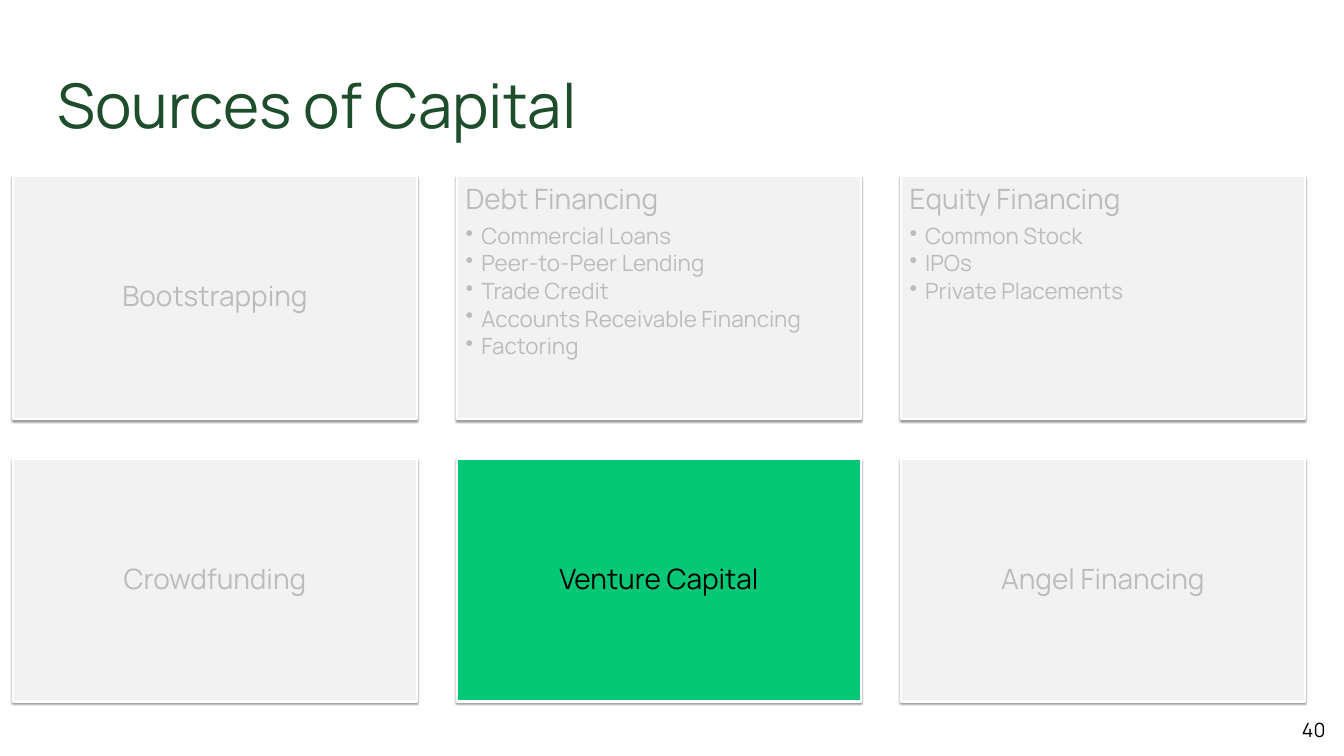
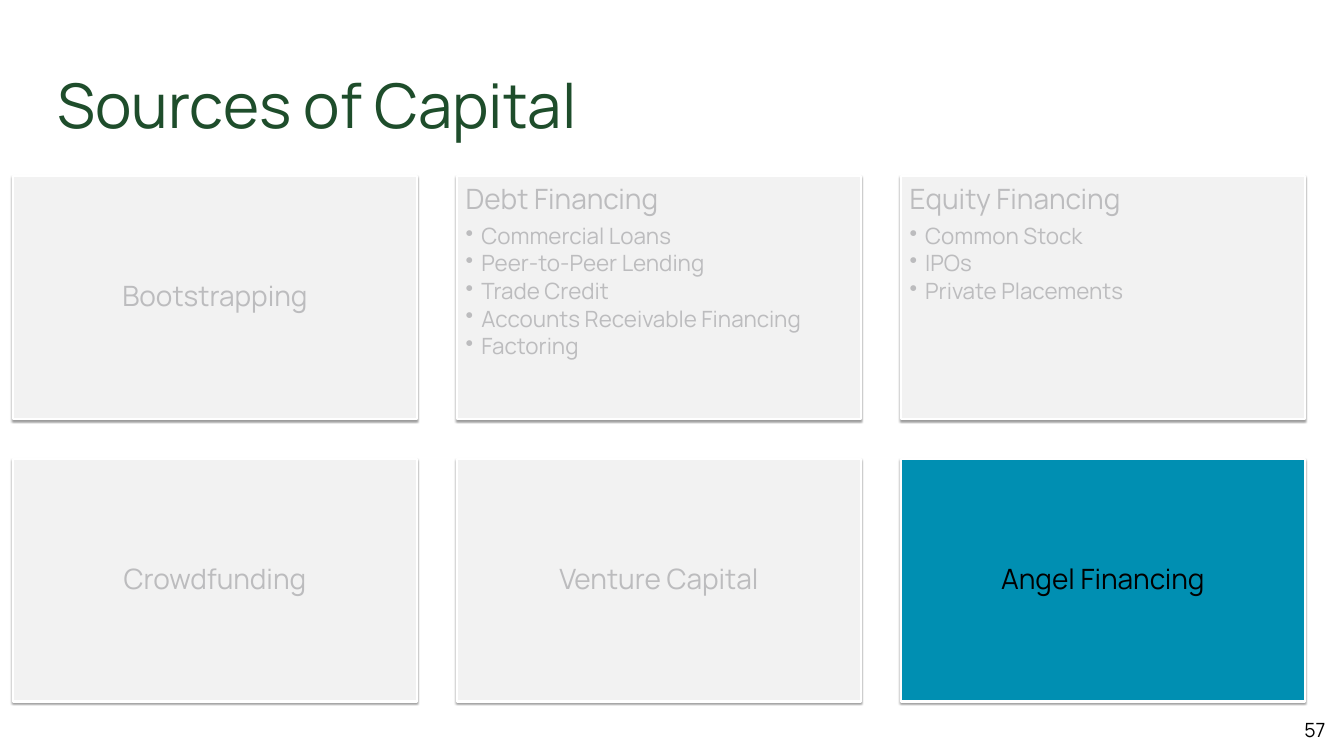
"""Builds two slides on sources of capital, each highlighting one source."""
from lxml.etree import SubElement
from pptx import Presentation
from pptx.dml.color import RGBColor
from pptx.enum.shapes import MSO_SHAPE
from pptx.enum.text import MSO_ANCHOR, MSO_AUTO_SIZE, PP_ALIGN
from pptx.oxml.ns import qn
from pptx.util import Inches, Pt

FONT = "Manrope"
TITLE_GREEN, CARD_GREY, MUTED_TEXT = "1E4D2B", "F2F2F2", "BCBCBE"
BLACK, WHITE = "000000", "FFFFFF"
LEFT, TOP, CARD_WIDTH, CARD_HEIGHT, GAP = 0.26, 3.5, 8.01, 4.81, 0.8
COLUMNS = 3
MARGINS = ("margin_left", "margin_top", "margin_right", "margin_bottom")

SOURCES = [
    ("Bootstrapping", []),
    ("Debt Financing", ["Commercial Loans", "Peer-to-Peer Lending", "Trade Credit",
                        "Accounts Receivable Financing", "Factoring"]),
    ("Equity Financing", ["Common Stock", "IPOs", "Private Placements"]),
    ("Crowdfunding", []),
    ("Venture Capital", []),
    ("Angel Financing", []),
]
PAGES = [("40", "Venture Capital", "05C877"), ("57", "Angel Financing", "008FB2")]


def color(hex_text):
    return RGBColor.from_string(hex_text)


def write(para, text, size, hex_text, align):
    para.alignment = align
    span = para.add_run()
    span.text = text
    for name, value in {"name": FONT, "size": Pt(size), "bold": False}.items():
        setattr(span.font, name, value)
    span.font.color.rgb = color(hex_text)


deck = Presentation()
deck.slide_width, deck.slide_height = Inches(26.67), Inches(15)

for number, highlighted, accent in PAGES:
    page = deck.slides.add_slide(deck.slide_layouts[5])

    title = page.shapes.title
    title.left, title.top = Inches(1.04), Inches(1.22)
    title.width, title.height = Inches(24.59), Inches(1.68)
    frame = title.text_frame
    title_format = {"word_wrap": True, "auto_size": MSO_AUTO_SIZE.NONE,
                    "vertical_anchor": MSO_ANCHOR.MIDDLE}
    for name, value in {**title_format, **dict.fromkeys(MARGINS, Inches(0.1))}.items():
        setattr(frame, name, value)
    write(frame.paragraphs[0], "Sources of Capital", 88, TITLE_GREEN, PP_ALIGN.LEFT)

    for index, (heading, examples) in enumerate(SOURCES):
        row, column = divmod(index, COLUMNS)
        card = page.shapes.add_shape(
            MSO_SHAPE.RECTANGLE,
            Inches(LEFT + column * (CARD_WIDTH + GAP)),
            Inches(TOP + row * (CARD_HEIGHT + GAP)),
            Inches(CARD_WIDTH), Inches(CARD_HEIGHT))
        active = heading == highlighted
        card.fill.solid()
        card.fill.fore_color.rgb = color(accent if active else CARD_GREY)
        card.line.color.rgb = color(WHITE)
        card.line.width = Pt(3)

        card.shadow.inherit = False
        effects = card.element.spPr.find(qn("a:effectLst"))
        shadow = SubElement(effects, qn("a:outerShdw"), blurRad=str(Pt(3.1)),
                            dist=str(Pt(1.6)), dir="5400000", rotWithShape="0")
        tint = SubElement(shadow, qn("a:srgbClr"), val=BLACK)
        SubElement(tint, qn("a:alpha"), val="38000")

        frame = card.text_frame
        card_format = {"word_wrap": True,
                       "vertical_anchor": MSO_ANCHOR.TOP if examples else MSO_ANCHOR.MIDDLE}
        for name, value in {**card_format, **dict.fromkeys(MARGINS, Inches(0.17))}.items():
            setattr(frame, name, value)

        for position, text in enumerate([heading, *examples]):
            bulleted = position > 0
            para = frame.add_paragraph() if bulleted else frame.paragraphs[0]
            para.line_spacing = 0.9
            properties = para._p.get_or_add_pPr()
            after = SubElement(properties, qn("a:spcAft"))
            SubElement(after, qn("a:spcPct"), val="15000" if bulleted else "35000")
            if bulleted:
                para.level = 1
                properties.set("marL", str(Inches(0.31)))
                properties.set("indent", str(-Inches(0.31)))
                SubElement(properties, qn("a:buChar"), char="•")
            write(para, text, 32 if bulleted else 40, BLACK if active else MUTED_TEXT,
                  PP_ALIGN.LEFT if examples else PP_ALIGN.CENTER)

    number_box = page.shapes.add_textbox(
        Inches(25.39), Inches(14.24), Inches(1.01), Inches(0.49))
    frame = number_box.text_frame
    frame.word_wrap = True
    frame.vertical_anchor = MSO_ANCHOR.MIDDLE
    write(frame.paragraphs[0], number, 28, BLACK, PP_ALIGN.RIGHT)

deck.save("out.pptx")
